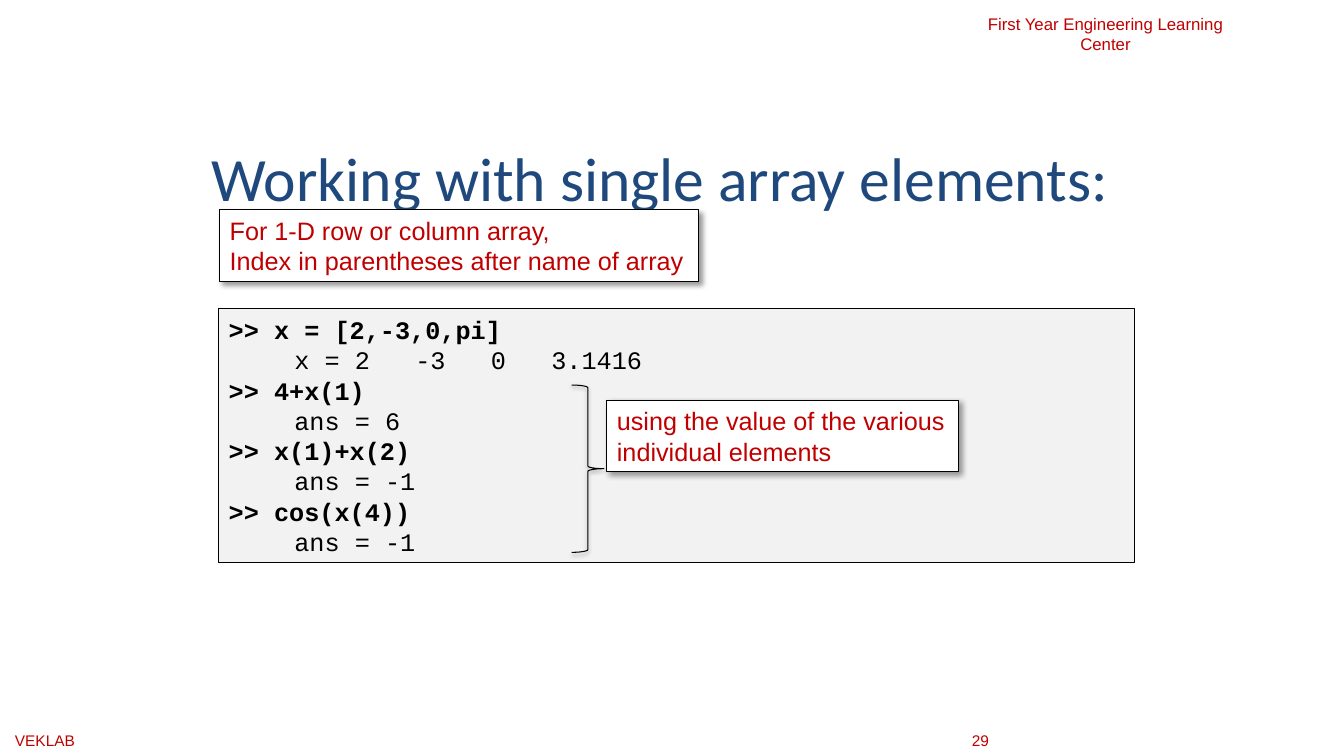
"""Build the slide on working with single array elements."""
from lxml import etree
from pptx import Presentation
from pptx.dml.color import RGBColor
from pptx.enum.shapes import MSO_SHAPE
from pptx.enum.text import MSO_ANCHOR, PP_ALIGN
from pptx.oxml.ns import qn
from pptx.util import Inches, Pt

RECTANGLE, BRACE = MSO_SHAPE.RECTANGLE, MSO_SHAPE.RIGHT_BRACE
LEFT, CENTER = PP_ALIGN.LEFT, PP_ALIGN.CENTER
TOP, MIDDLE = MSO_ANCHOR.TOP, MSO_ANCHOR.MIDDLE

LABELS = [
    ("VEKLAB", (0.05, 7.2, 2, 0.29), "footer", LEFT, TOP),
    ("29", (9.54, 7.2, 1, 0.29), "footer", LEFT, TOP),
    ("First Year Engineering Learning Center", (9.56, 0.09, 2.81, 0.5), "header", CENTER, TOP),
    ("Working with single array elements:", (2, 1.3, 9.25, 0.9), "title", LEFT, MIDDLE),
]
SESSION = [
    (">> x = [2,-3,0,pi]", "\tx = 2\t-3\t0\t3.1416"),
    (">> 4+x(1)", "\tans = 6"),
    (">> x(1)+x(2)", "\tans = -1"),
    (">> cos(x(4))", "\tans = -1"),
]
SESSION_BOX = (2.17, 3.06, 9.08, 2.52)
BRACE_BOX = (5.67, 3.82, 0.32, 1.66)
VALUE_NOTE = (["using the value of the various individual elements"], (6.02, 3.97, 3.49, 0.71), True)
INDEX_NOTE = (
    ["For 1-D row or column array,", "Index in parentheses after name of array"],
    (2.18, 2.08, 4.75, 0.71),
    False,
)
RESULT_INDENT, CHARACTER_WIDTH = 0.65, 0.15
VALUE_COLUMNS = (0, 8, 13, 17)

THEME = {
    "ink": "000000",
    "paper": "FFFFFF",
    "panel": "F2F2F2",
    "outline": 0.75,
    "note_shadow": {"blur": 4, "distance": 3, "angle": 45, "opacity": 40},
    "brace_shadow": {"blur": 3.1, "distance": 1.6, "angle": 90, "opacity": 38},
    "footer": {"name": "Arial", "size": Pt(11), "color": "C00000"},
    "header": {"name": "Arial", "size": Pt(12), "color": "C00000"},
    "title": {"name": "Calibri", "size": Pt(44), "color": "1F497D"},
    "note": {"name": "Arial", "size": Pt(18), "color": "C00000"},
    "command": {"name": "Courier New", "size": Pt(18), "color": "000000", "bold": True},
    "result": {"name": "Courier New", "size": Pt(18), "color": "000000", "bold": False},
}


def write(frame, lines, align=LEFT, anchor=MIDDLE, wrap=True):
    """Fill a text frame with (text, style) lines and return its paragraphs."""
    frame.word_wrap = wrap
    frame.vertical_anchor = anchor
    for index, (text, style) in enumerate(lines):
        paragraph = frame.add_paragraph() if index else frame.paragraphs[0]
        paragraph.alignment = align
        run = paragraph.add_run()
        run.text = text
        for attribute, value in THEME[style].items():
            if attribute == "color":
                run.font.color.rgb = RGBColor.from_string(value)
            else:
                setattr(run.font, attribute, value)
    return frame.paragraphs


def add_outlined(slide, preset, box, fill=None):
    """Add a thinly outlined shape without the default shadow."""
    shape = slide.shapes.add_shape(preset, *map(Inches, box))
    shape.shadow.inherit = False
    shape.line.color.rgb = RGBColor.from_string(THEME["ink"])
    shape.line.width = Pt(THEME["outline"])
    if fill:
        shape.fill.solid()
        shape.fill.fore_color.rgb = RGBColor.from_string(fill)
    else:
        shape.fill.background()
    return shape


def cast_shadow(shape, blur, distance, angle, opacity):
    """Give a shape an outer shadow."""
    effects = shape._element.spPr.find(qn("a:effectLst"))
    shadow = etree.SubElement(
        effects, qn("a:outerShdw"), blurRad=str(Pt(blur)), dist=str(Pt(distance)),
        dir=str(angle * 60000), algn="tl", rotWithShape="0",
    )
    color = etree.SubElement(shadow, qn("a:srgbClr"), val=THEME["ink"])
    etree.SubElement(color, qn("a:alpha"), val=str(opacity * 1000))


def set_value_tabs(paragraph):
    """Align printed values to their character columns."""
    tabs = etree.SubElement(paragraph._p.get_or_add_pPr(), qn("a:tabLst"))
    for column in VALUE_COLUMNS:
        position = Inches(RESULT_INDENT + column * CHARACTER_WIDTH)
        etree.SubElement(tabs, qn("a:tab"), pos=str(position), algn="l")


def add_note(slide, lines, box, wrap):
    """Add a white shadowed note."""
    note = add_outlined(slide, RECTANGLE, box, THEME["paper"])
    cast_shadow(note, **THEME["note_shadow"])
    write(note.text_frame, [(line, "note") for line in lines], wrap=wrap)


def main():
    """Compose and save the slide."""
    deck = Presentation()
    deck.slide_width, deck.slide_height = Inches(13.33), Inches(7.5)
    slide = deck.slides.add_slide(deck.slide_layouts[6])

    for text, box, style, align, anchor in LABELS:
        label = slide.shapes.add_textbox(*map(Inches, box))
        write(label.text_frame, [(text, style)], align, anchor)

    session = add_outlined(slide, RECTANGLE, SESSION_BOX, THEME["panel"])
    lines = [line for pair in SESSION for line in zip(pair, ("command", "result"))]
    for result in write(session.text_frame, lines)[1::2]:
        set_value_tabs(result)

    add_note(slide, *VALUE_NOTE)
    brace = add_outlined(slide, BRACE, BRACE_BOX)
    cast_shadow(brace, **THEME["brace_shadow"])
    add_note(slide, *INDEX_NOTE)
    deck.save("out.pptx")


if __name__ == "__main__":
    main()
